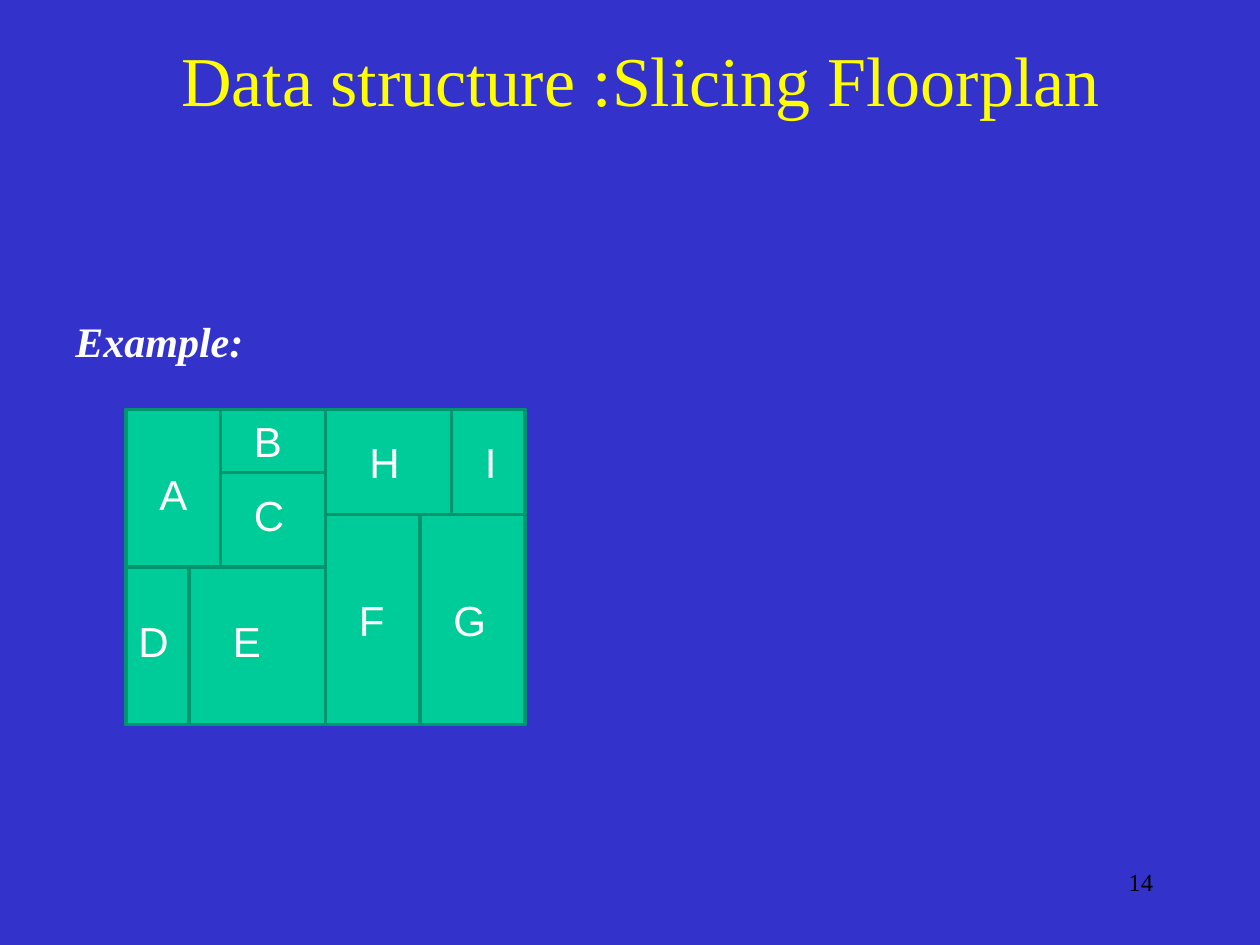
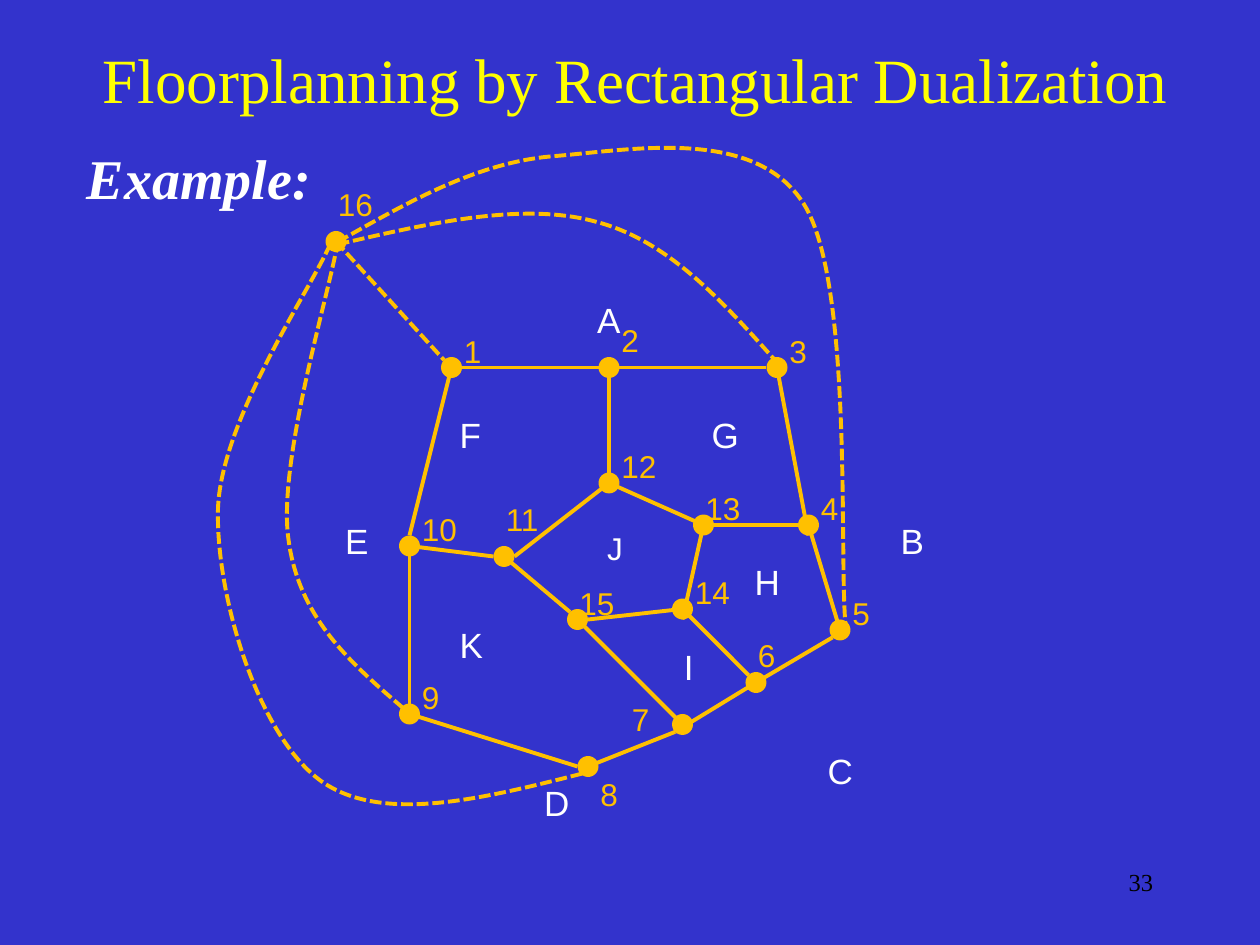
"""Build two slides on floorplans: a slicing layout and a rectangular dual graph."""
from dataclasses import dataclass

from lxml import etree
from pptx import Presentation
from pptx import util as u
from pptx.dml.color import RGBColor as Rgb
from pptx.enum import dml, shapes, text
from pptx.oxml.ns import qn


@dataclass(frozen=True)
class Theme:
    back: Rgb = Rgb(0x33, 0x33, 0xCC)
    title: Rgb = Rgb(0xFF, 0xFF, 0x00)
    white: Rgb = Rgb(0xFF, 0xFF, 0xFF)
    black: Rgb = Rgb(0, 0, 0)
    room: Rgb = Rgb(0x00, 0xCC, 0x99)
    wall: Rgb = Rgb(0x00, 0x95, 0x6F)
    graph: Rgb = Rgb(0xFF, 0xC0, 0x00)
    serif: str = "Times New Roman"
    sans: str = "Arial"
    letter: int = 24
    face: int = 20
    node: int = 18
    page: int = 14
    wall_pt: float = 2
    edge_pt: float = 2.25


T = Theme()
GRID = 12

PLAN = (12, 39, 38, 30)
ROOMS = {
    "A": ((12, 39, 9, 15), (14, 44)),
    "D": ((12, 54, 6, 15), (12, 58)),
    "E": ((18, 54, 13, 15), (21, 58)),
    "B": ((21, 39, 10, 6), (23, 39)),
    "C": ((21, 45, 10, 9), (23, 46)),
    "F": ((31, 49, 9, 20), (33, 56)),
    "G": ((40, 49, 10, 20), (42, 56)),
    "H": ((31, 39, 12, 10), (34, 41)),
    "I": ((43, 39, 7, 10), (45, 41)),
}

FACES = {
    "F": (3.55, 3.23), "A": (4.64, 2.32), "G": (5.55, 3.23), "E": (2.64, 4.07),
    "J": (4.72, 4.15), "B": (7.05, 4.07), "K": (3.55, 4.9), "I": (5.33, 5.07),
    "H": (5.89, 4.4), "D": (4.22, 6.15), "C": (6.47, 5.9),
}

NODES = {
    1: (43, 35), 2: (58, 35), 3: (74, 35), 4: (77, 50), 5: (80, 60), 6: (72, 65),
    7: (65, 69), 8: (56, 73), 9: (39, 68), 16: (32, 23), 10: (39, 52),
    11: (48, 53), 12: (58, 46), 13: (67, 50), 14: (65, 58), 15: (55, 59),
}
OFFSET = (0, -4)
OFFSETS = {
    2: (0, -5), 6: (-1, -5), 7: (-6, -2.9), 8: (0, 0.2),
    16: (-1, -6), 11: (-1, -6), 13: (-1, -4), 15: (-1, -4),
}
PORTS = {
    "": (0, 0), "N": (0, -1), "S": (0, 1), "W": (-1, 0), "E": (1, 0),
    "NW": (-0.7, -0.7), "SW": (-0.7, 0.7),
}
EDGES = [
    (1, "", 10, "N"), (1, "W", 2, "W"), (10, "", 11, "W"), (11, "E", 12, ""),
    (2, "", 12, ""), (2, "W", 3, "W"), (12, "", 13, ""), (13, "E", 4, "W"),
    (3, "", 4, "S"), (11, "", 15, "NW"), (15, "E", 14, ""), (13, "", 14, "S"),
    (14, "", 6, "NW"), (4, "", 5, ""), (6, "", 5, "SW"), (15, "", 7, ""),
    (7, "SW", 6, ""), (9, "", 8, "W"), (10, "S", 9, ""), (8, "", 7, "SW"),
]
CURVES = [
    [(2.68, 1.94), (3.41, 1.77), (4.15, 1.6), (4.73, 1.76),
     (5.31, 1.91), (5.74, 2.4), (6.17, 2.88)],
    [(2.68, 1.92), (3.23, 1.61), (3.78, 1.29), (4.39, 1.24), (5.01, 1.19),
     (5.99, 1), (6.38, 1.62), (6.77, 2.24), (6.66, 4.4), (6.71, 4.95)],
    [(3.2, 5.62), (2.78, 5.26), (2.37, 4.9), (2.29, 4.28),
     (2.2, 3.66), (2.63, 2.27), (2.68, 1.92)],
    [(4.62, 6.14), (3.83, 6.34), (3.03, 6.54), (2.55, 6.2), (2.06, 5.85),
     (1.72, 4.77), (1.73, 4.06), (1.74, 3.35), (2.47, 2.29), (2.62, 1.94)],
]


def cm(*inches):
    return [u.Cm(2.54 * n) for n in inches]


def cells(*counts):
    return [n / GRID for n in counts]


def write(slide, box, words, size, color, name=T.serif, align=None,
          anchor=text.MSO_ANCHOR.TOP, strong=False):
    frame = slide.shapes.add_textbox(*cm(*box)).text_frame
    frame.word_wrap = True
    frame.vertical_anchor = anchor
    para = frame.paragraphs[0]
    para.text = words
    para.alignment = align
    font = para.font
    font.size, font.name = u.Pt(size), name
    font.bold = font.italic = strong
    font.color.rgb = color
    return frame


def label(slide, spot, words, size, color):
    width = 0.42 if len(words) == 1 else 0.5
    frame = write(slide, (*spot, width, size / 60 + 0.1), words, size, color, T.sans)
    frame.auto_size = text.MSO_AUTO_SIZE.SHAPE_TO_FIT_TEXT


def solid(slide, kind, box, fill, edge=None):
    shape = slide.shapes.add_shape(kind, *cm(*cells(*box)))
    shape.shadow.inherit = False
    shape.fill.solid()
    shape.fill.fore_color.rgb = fill
    if edge is None:
        shape.line.fill.background()
    else:
        shape.line.color.rgb = edge
        shape.line.width = u.Pt(T.wall_pt)


def stroke(line, dashed):
    line.color.rgb = T.graph
    line.width = u.Pt(T.edge_pt)
    if dashed:
        line.dash_style = dml.MSO_LINE.SQUARE_DOT


def port(num, side):
    return cells(*(a + b for a, b in zip(NODES[num], PORTS[side])))


def join(slide, start, out, end, into, dashed=False):
    wire = slide.shapes.add_connector(
        shapes.MSO_CONNECTOR.STRAIGHT, *cm(*port(start, out), *port(end, into)))
    stroke(wire.line, dashed)
    etree.SubElement(wire._element.spPr, qn("a:effectLst"))


def curve(slide, knots):
    pen = slide.shapes.build_freeform(*cm(*knots[0]))
    pen.add_line_segments([cm(*knot) for knot in knots[1:]], close=False)
    shape = pen.convert_to_shape()
    legs = list(shape._element.iter(qn("a:lnTo")))
    for i in range(0, len(legs), 3):
        bend = etree.Element(qn("a:cubicBezTo"))
        legs[i].addprevious(bend)
        for leg in legs[i:i + 3]:
            bend.append(leg[0])
            leg.getparent().remove(leg)
    shape.shadow.inherit = False
    shape.fill.background()
    stroke(shape.line, True)


def node(slide, num):
    x, y = NODES[num]
    dx, dy = OFFSETS.get(num, OFFSET)
    solid(slide, shapes.MSO_SHAPE.OVAL, (x - 1, y - 1, 2, 2), T.graph)
    label(slide, cells(x + dx, y + dy), str(num), T.node, T.graph)


def start(deck, title, box, size, page):
    slide = deck.slides.add_slide(deck.slide_layouts[6])
    write(slide, box, title, size, T.title, align=text.PP_ALIGN.CENTER,
          anchor=text.MSO_ANCHOR.MIDDLE)
    write(slide, (7.17, 6.83, 2.08, 0.5), str(page), T.page, T.black,
          align=text.PP_ALIGN.RIGHT)
    return slide


def slicing(deck):
    slide = start(deck, "Data structure :Slicing Floorplan", (1, 0.16, 8.17, 0.92), 40, 14)
    frame = write(slide, (0.5, 2.5, 8.75, 0.58), "Example:", 24, T.white, strong=True)
    frame.paragraphs[0].line_spacing = 0.9
    for box in [PLAN, *(box for box, _ in ROOMS.values())]:
        solid(slide, shapes.MSO_SHAPE.RECTANGLE, box, T.room, T.wall)
    for name, (_, spot) in ROOMS.items():
        label(slide, cells(*spot), name, T.letter, T.white)


def dual(deck):
    slide = start(deck, "Floorplanning by Rectangular Dualization",
                  (0.17, 0.08, 9.75, 1.08), 36, 33)
    write(slide, (0.59, 1.07, 2.25, 0.67), "Example:", 32, T.white,
          anchor=text.MSO_ANCHOR.MIDDLE, strong=True)
    for name, spot in FACES.items():
        label(slide, spot, name, T.node if name == "J" else T.face, T.white)
    for num in NODES:
        node(slide, num)
    for edge in EDGES:
        join(slide, *edge)
    join(slide, 16, "", 1, "NW", dashed=True)
    for knots in CURVES:
        curve(slide, knots)


def main():
    deck = Presentation()
    deck.slide_width, deck.slide_height = cm(10, 7.5)
    fill = deck.slide_master.background.fill
    fill.solid()
    fill.fore_color.rgb = T.back
    slicing(deck)
    dual(deck)
    deck.save("out.pptx")


if __name__ == "__main__":
    main()
